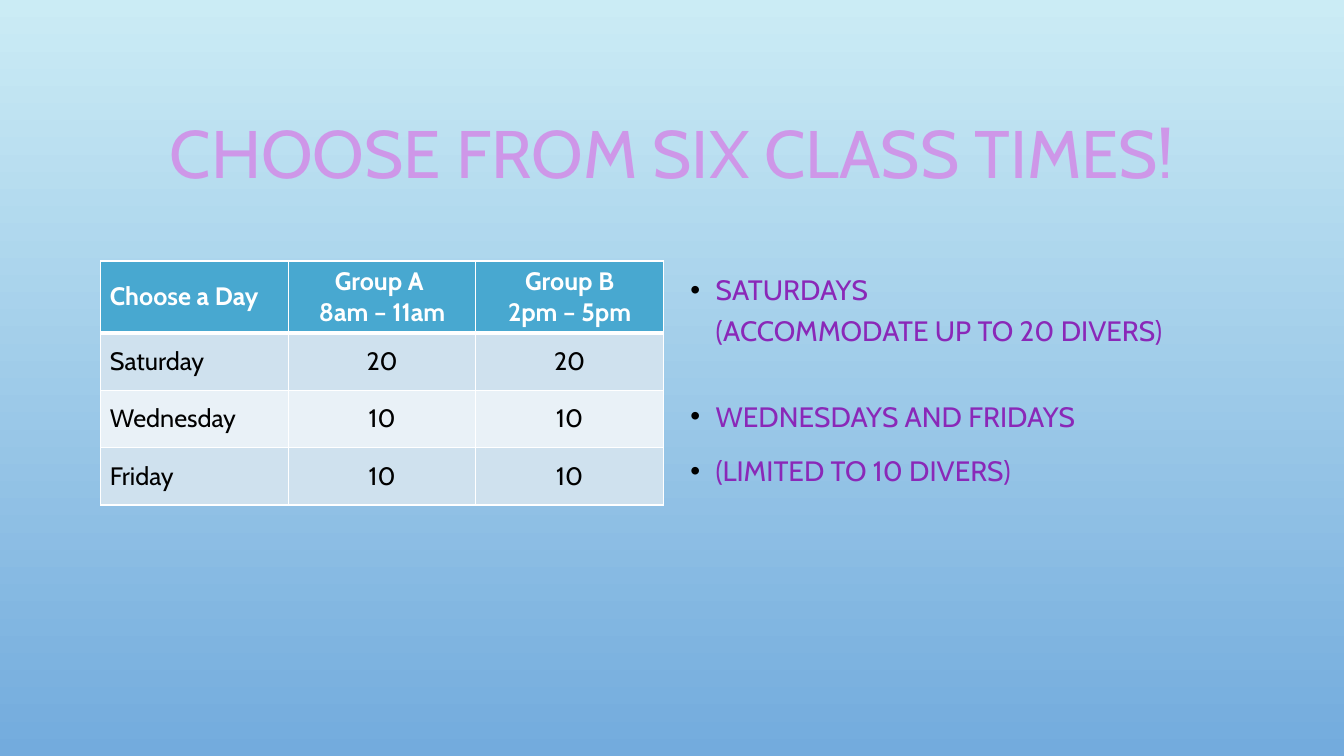
from lxml import etree
from pptx import Presentation
from pptx.dml.color import RGBColor
from pptx.enum.text import MSO_ANCHOR, PP_ALIGN
from pptx.oxml.ns import qn
from pptx.util import Inches, Pt

LEFT, CENTER = PP_ALIGN.LEFT, PP_ALIGN.CENTER
MIDDLE = MSO_ANCHOR.MIDDLE
FONT = "Cabin"

TITLE = "CHOOSE FROM SIX CLASS TIMES!"
ROWS = [
    ("Choose a Day", "Group A \n8am – 11am", "Group B\n2pm – 5pm"),
    ("Saturday", "20", "20"),
    ("Wednesday", "10", "10"),
    ("Friday", "10", "10"),
]
# Text and space before, in points; \v is a line break
NOTES = [
    ("SATURDAYS \v(ACCOMMODATE UP TO 20 DIVERS)", 10),
    ("WEDNESDAYS AND FRIDAYS", 33),
    ("(LIMITED TO 10 DIVERS)", 10),
]
SKY = ("CBECF5", "73ABDD")
HEAD, BANDS = "48A8D0", ("E9F1F7", "CFE1EE")
WHITE, BLACK, LILAC, PURPLE = "FFFFFF", "000000", "CE97E8", "8A28B8"
TOP, WIDTH = 2.59, 5.58
HEAD_H, ROW_H = 0.7, 0.57


def rgb(code):
    return RGBColor.from_string(code)


def style(para, size, color, bold=False):
    for run in para.runs:
        font = run.font
        font.name, font.size, font.bold = FONT, Pt(size), bold
        font.color.rgb = rgb(color)


def add_node(parent, tag, **attrs):
    return etree.SubElement(parent, qn(tag), attrs)


def add_border(cell, side, points):
    line = add_node(cell._tc.get_or_add_tcPr(), "a:ln" + side, w=str(Pt(points)))
    add_node(add_node(line, "a:solidFill"), "a:srgbClr", val=WHITE)


def add_bullet(para):
    props = para._p.get_or_add_pPr()
    props.set("marL", str(Inches(0.25)))
    props.set("indent", str(Inches(-0.25)))
    add_node(add_node(props, "a:buClr"), "a:srgbClr", val=BLACK)
    add_node(props, "a:buFont", typeface="Arial")
    add_node(props, "a:buChar", char="•")


def add_title(slide):
    title = slide.shapes.title
    title.left, title.top = Inches(1), Inches(0.68)
    title.width, title.height = Inches(11.33), Inches(1.75)
    frame = title.text_frame
    frame.text = TITLE
    frame.vertical_anchor = MIDDLE
    para = frame.paragraphs[0]
    para.alignment, para.line_spacing = CENTER, 0.9
    style(para, 48, LILAC)


def add_times(slide):
    count = len(ROWS)
    height = HEAD_H + ROW_H * (count - 1)
    table = slide.shapes.add_table(
        count, len(ROWS[0]), Inches(1), Inches(TOP), Inches(WIDTH), Inches(height)
    ).table
    for r, row in enumerate(ROWS):
        table.rows[r].height = Inches(ROW_H if r else HEAD_H)
        for c, text in enumerate(row):
            cell = table.cell(r, c)
            cell.text = text
            cell.vertical_anchor = MIDDLE
            cell.margin_left = cell.margin_right = Inches(0.09)
            for side in "LRTB":
                thick = (r, side) in ((0, "B"), (1, "T"))
                add_border(cell, side, 3 if thick else 1)
            cell.fill.solid()
            cell.fill.fore_color.rgb = rgb(BANDS[r % 2] if r else HEAD)
            for para in cell.text_frame.paragraphs:
                para.alignment = CENTER if c else LEFT
                style(para, 18, BLACK if r else WHITE, bold=r == 0)


def add_notes(slide):
    box = slide.shapes.add_textbox(
        Inches(6.75), Inches(TOP), Inches(WIDTH), Inches(3.74)
    )
    frame = box.text_frame
    frame.word_wrap = True
    for i, (text, gap) in enumerate(NOTES):
        para = frame.add_paragraph() if i else frame.paragraphs[0]
        para.text = text
        para.line_spacing, para.space_before = 1.2, Pt(gap)
        add_bullet(para)
        style(para, 20, PURPLE)


def main():
    deck = Presentation()
    deck.slide_width, deck.slide_height = Inches(13.33), Inches(7.5)
    slide = deck.slides.add_slide(deck.slide_layouts[5])
    fill = slide.background.fill
    fill.gradient()
    fill.gradient_angle = 270
    for stop, place, color in zip(fill.gradient_stops, (0, 1), SKY):
        stop.position, stop.color.rgb = place, rgb(color)
    add_title(slide)
    add_times(slide)
    add_notes(slide)
    deck.save("out.pptx")


if __name__ == "__main__":
    main()
